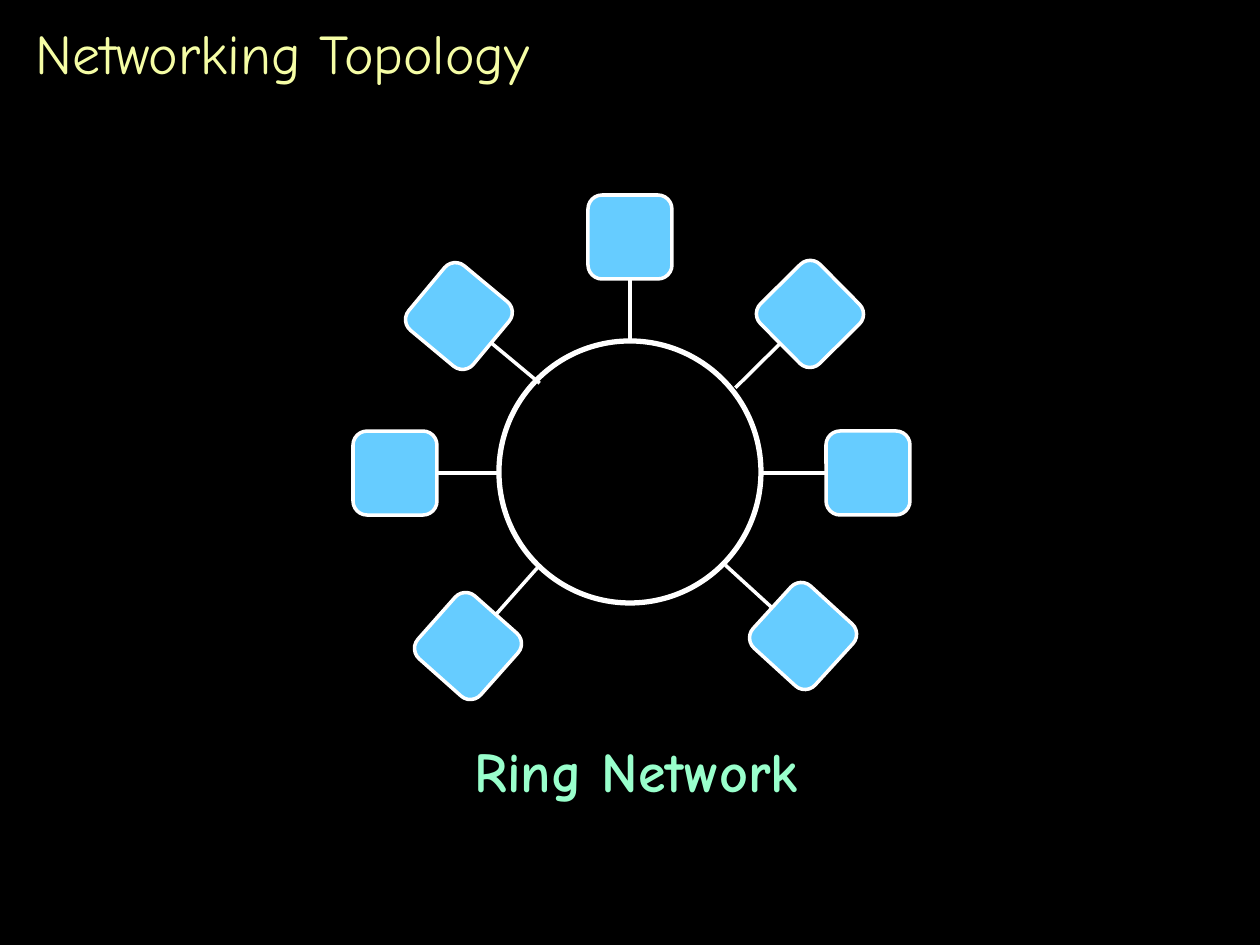
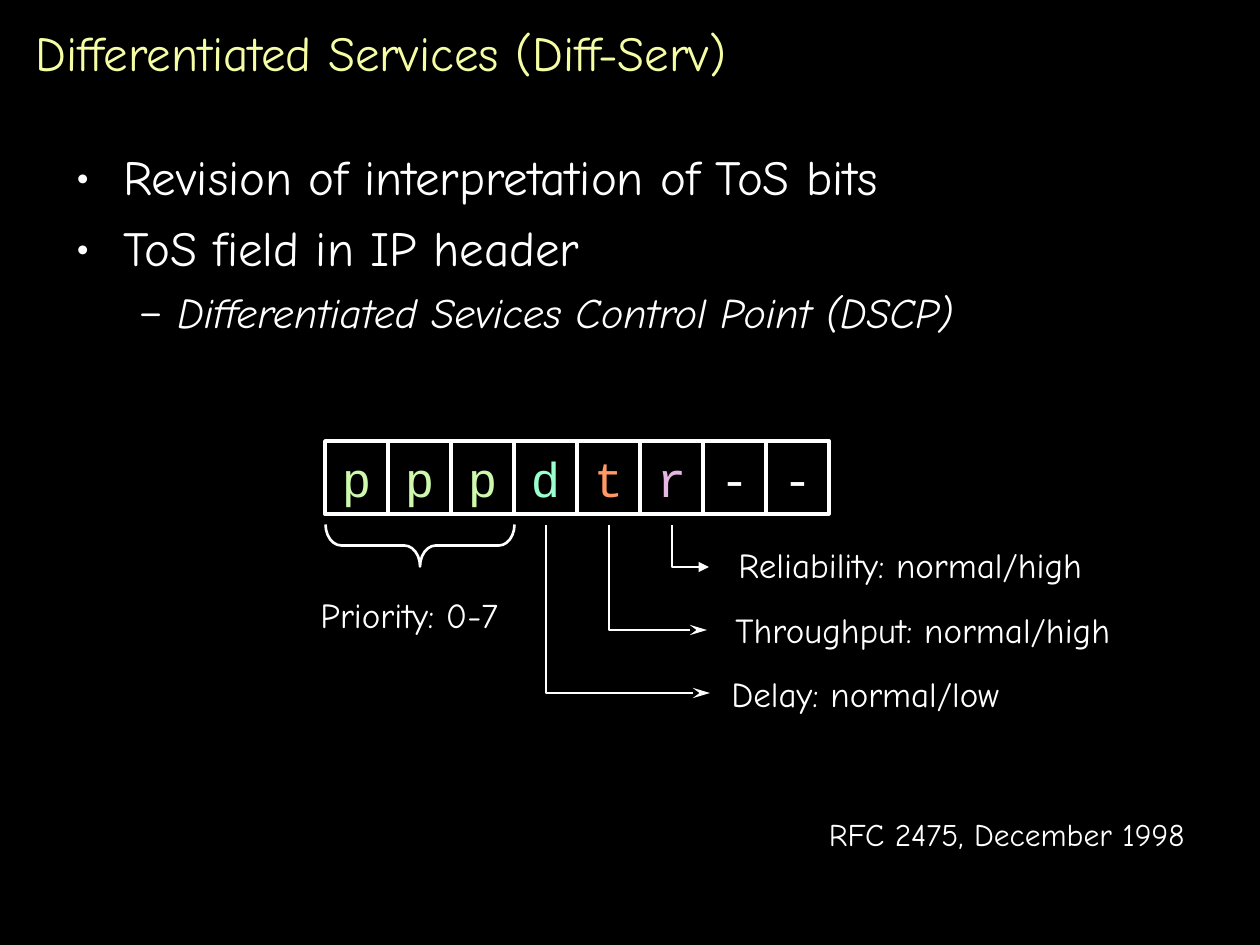
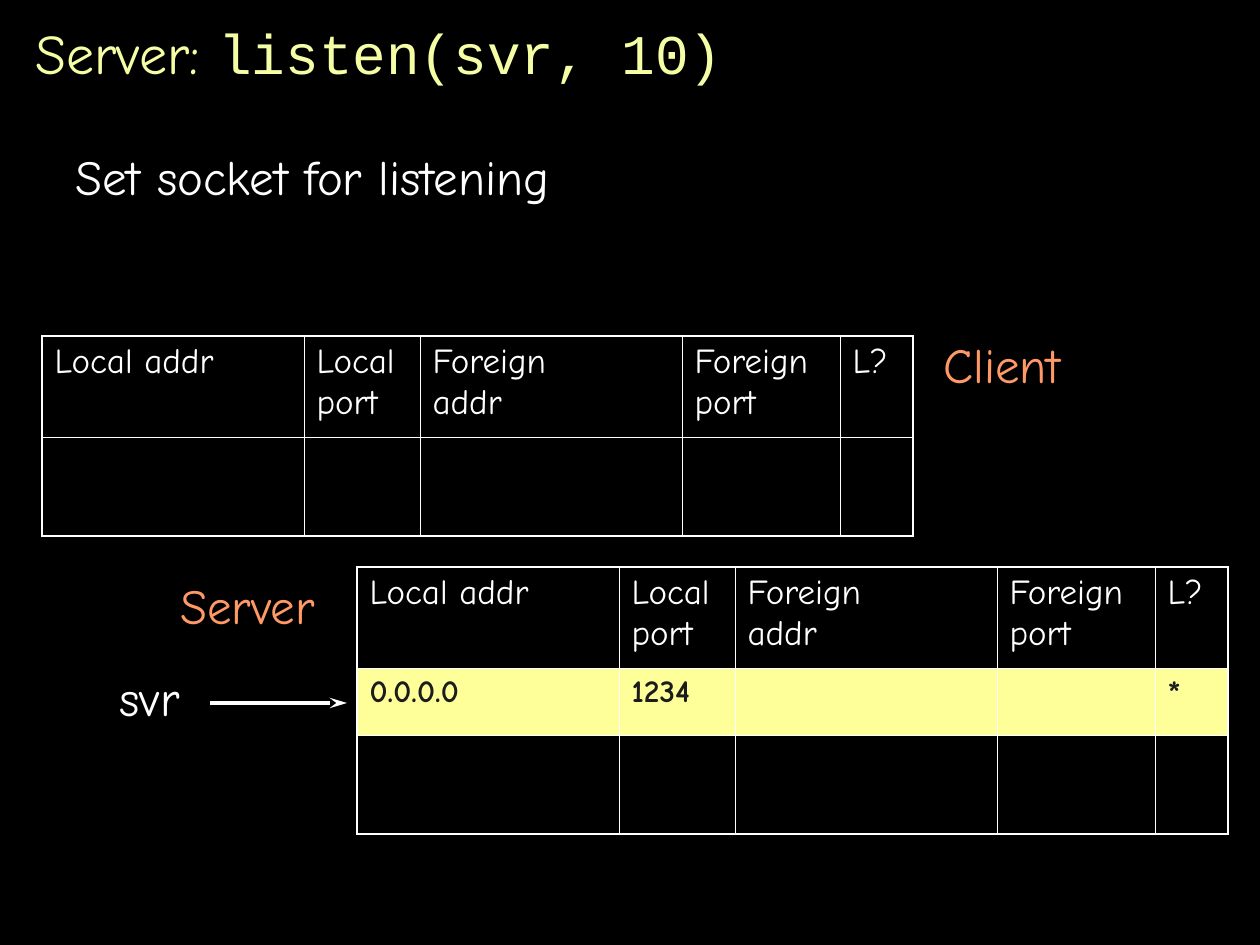
import math
from collections import namedtuple

from pptx import Presentation
from pptx.dml.color import RGBColor
from pptx.enum.shapes import MSO_CONNECTOR, MSO_SHAPE
from pptx.enum.text import MSO_ANCHOR, MSO_AUTO_SIZE, PP_ALIGN
from pptx.oxml.ns import qn
from pptx.util import Emu, Pt
from lxml import etree

EMU_PER_PX = 914400 / 126
STRAIGHT = MSO_CONNECTOR.STRAIGHT
ROUNDED = MSO_SHAPE.ROUNDED_RECTANGLE
RECTANGLE = MSO_SHAPE.RECTANGLE
OVAL = MSO_SHAPE.OVAL
BRACE = MSO_SHAPE.RIGHT_BRACE
MIDDLE = MSO_ANCHOR.MIDDLE
FIT_SHAPE = MSO_AUTO_SIZE.SHAPE_TO_FIT_TEXT
LEFT, CENTER, RIGHT = PP_ALIGN.LEFT, PP_ALIGN.CENTER, PP_ALIGN.RIGHT

BLACK, WHITE, INK = "000000", "FFFFFF", "1C1C1C"
TITLE_YELLOW, ROW_YELLOW = "F5FDA5", "FFFF99"
BLUE, MINT, LIME, ORANGE, PINK = "66CCFF", "99FFCC", "CEF9AD", "FF9966", "E7B7E4"
HAND, MONO = "Comic Neue", "Courier New"

Style = namedtuple("Style", "size color font bold italic",
                   defaults=(WHITE, HAND, False, False))
TITLE = Style(32, TITLE_YELLOW)
BODY = Style(28)
LABEL = Style(20)

NODE_SIZE, SPOKE_LENGTH = 84, 63
COLUMN_WIDTHS = (262, 116, 262, 158, 73)
HEADER = ("Local addr", "Local\nport", "Foreign\naddr", "Foreign\nport", "L?")
HEADER_HEIGHT, ENTRY_HEIGHT, EMPTY_HEIGHT = 101, 67, 99
ARROW_LENGTHS = {"triangle": "med", "stealth": "lg"}


def px(value):
    """Turn pixels into EMU."""
    return Emu(round(value * EMU_PER_PX))


def box(*values):
    """Turn several pixel lengths into EMU."""
    return [px(value) for value in values]


def rgb(color):
    """Turn a hex string into a colour."""
    return RGBColor.from_string(color)


def add_element(parent, tag, **attributes):
    """Append a DrawingML element to its parent."""
    return etree.SubElement(parent, qn(tag), attributes)


def add_text(paragraph, text, style):
    """Add text in one style, with its line breaks."""
    for number, line in enumerate(text.split("\n")):
        if number:
            paragraph.add_line_break()
        run = paragraph.add_run()
        run.text = line
        font = run.font
        font.name, font.size = style.font, Pt(style.size)
        font.bold, font.italic = style.bold, style.italic
        font.color.rgb = rgb(style.color)


def add_box(slide, bounds):
    """Add an empty wrapping text box and return its frame."""
    frame = slide.shapes.add_textbox(*box(*bounds)).text_frame
    frame.word_wrap = True
    return frame


def add_slide(presentation, *title_runs):
    """Add a black slide with its title."""
    slide = presentation.slides.add_slide(presentation.slide_layouts[6])
    slide.background.fill.solid()
    slide.background.fill.fore_color.rgb = rgb(BLACK)
    frame = add_box(slide, (23, 10, 1218, 84))
    frame.vertical_anchor = MIDDLE
    for text, style in title_runs:
        add_text(frame.paragraphs[0], text, style)
    return slide


def add_label(slide, bounds, text, style, alignment=LEFT):
    """Add a one-line label that does not wrap."""
    frame = add_box(slide, bounds)
    frame.word_wrap = False
    frame.auto_size = FIT_SHAPE
    frame.paragraphs[0].alignment = alignment
    add_text(frame.paragraphs[0], text, style)


def add_bullet(paragraph, mark, margin, hang):
    """Give a paragraph a white bullet and a hanging indent."""
    properties = paragraph._p.get_or_add_pPr()
    properties.set("marL", str(px(margin)))
    properties.set("indent", str(-px(hang)))
    color = add_element(properties, "a:buClr")
    add_element(color, "a:srgbClr", val=WHITE)
    add_element(properties, "a:buFont", typeface=HAND)
    add_element(properties, "a:buChar", char=mark)


def draw_line(shape, width, arrowhead=None):
    """Give a shape or connector a white line."""
    shape.line.color.rgb = rgb(WHITE)
    shape.line.width = Pt(width)
    if arrowhead:
        line = shape._element.spPr.find(qn("a:ln"))
        add_element(line, "a:tailEnd", type=arrowhead,
                    len=ARROW_LENGTHS[arrowhead])


def finish_shape(shape, width, fill=None, arrowhead=None):
    """Remove the shadow and set the fill and outline."""
    shape.shadow.inherit = False
    if fill:
        shape.fill.solid()
        shape.fill.fore_color.rgb = rgb(fill)
    else:
        shape.fill.background()
    draw_line(shape, width, arrowhead)


def add_outline(slide, kind, bounds, width, fill=None, rotation=0):
    """Add a preset shape with a white outline."""
    shape = slide.shapes.add_shape(kind, *box(*bounds))
    shape.rotation = rotation
    finish_shape(shape, width, fill)
    return shape


def add_line(slide, start, end, arrowhead=None):
    """Add a straight white line."""
    connector = slide.shapes.add_connector(STRAIGHT, *box(*start, *end))
    draw_line(connector, 2, arrowhead)
    add_element(connector._element.spPr, "a:effectLst")


def add_node(slide, x, y, rotation):
    """Add a ring station and the spoke that leaves its base."""
    half = NODE_SIZE / 2
    add_outline(slide, ROUNDED, (x - half, y - half, NODE_SIZE, NODE_SIZE),
                2, BLUE, rotation)
    angle = math.radians(rotation)
    start, end = ((x - reach * math.sin(angle), y + reach * math.cos(angle))
                  for reach in (half, half + SPOKE_LENGTH))
    add_line(slide, start, end)


def add_bent_arrow(slide, x, top, bottom, right, arrowhead):
    """Add an arrow that goes down and then right."""
    builder = slide.shapes.build_freeform(x, top, scale=EMU_PER_PX)
    builder.add_line_segments([(x, bottom), (right, bottom)], close=False)
    finish_shape(builder.convert_to_shape(), 1.5, arrowhead=arrowhead)


def add_bit(slide, position, letter, color):
    """Add one cell of the bit field."""
    shape = add_outline(slide, RECTANGLE, (325 + 63 * position, 441, 63, 73), 2)
    frame = shape.text_frame
    frame.word_wrap = False
    frame.vertical_anchor = MIDDLE
    frame.paragraphs[0].alignment = CENTER
    add_text(frame.paragraphs[0], letter, Style(28, color, MONO))


def set_borders(cell, widths):
    """Set white borders, given in the order left, right, top, bottom."""
    properties = cell._tc.get_or_add_tcPr()
    for position, (side, width) in enumerate(zip("LRTB", widths)):
        line = etree.Element(qn("a:ln" + side), w=str(Pt(width)))
        fill = add_element(line, "a:solidFill")
        add_element(fill, "a:srgbClr", val=WHITE)
        properties.insert(position, line)


def add_socket_table(slide, left, top, entries=()):
    """Add a socket table: header, highlighted entries and an empty row."""
    rows = [HEADER, *entries, [""] * len(HEADER)]
    heights = [HEADER_HEIGHT, *[ENTRY_HEIGHT] * len(entries), EMPTY_HEIGHT]
    frame = slide.shapes.add_table(
        len(rows), len(HEADER),
        *box(left, top, sum(COLUMN_WIDTHS), sum(heights)))
    table = frame.table
    table.first_row = table.horz_banding = False
    for column, width in zip(table.columns, COLUMN_WIDTHS):
        column.width = px(width)
    last_row, last_column = len(rows) - 1, len(HEADER) - 1
    for r, texts in enumerate(rows):
        table.rows[r].height = px(heights[r])
        for c, text in enumerate(texts):
            cell = table.cell(r, c)
            if 0 < r < last_row:
                cell.fill.solid()
                cell.fill.fore_color.rgb = rgb(ROW_YELLOW)
                style = Style(20 if c == last_column else 18, INK, bold=True)
            else:
                cell.fill.background()
                style = LABEL
            if text:
                add_text(cell.text_frame.paragraphs[0], text, style)
            outer = (c == 0, c == last_column, r == 0, r == last_row)
            set_borders(cell, [1.08 if edge else 0.45 for edge in outer])


def build_ring(presentation):
    """Build the ring network slide."""
    slide = add_slide(presentation, ("Networking Topology", TITLE))
    for x, y, rotation in ((395, 473, 270), (459, 316, 309.8), (630, 237, 0),
                           (810, 314, 45.3), (868, 473, 90),
                           (803, 636, 132.4), (468, 646, 221.6)):
        add_node(slide, x, y, rotation)
    add_outline(slide, OVAL, (499, 341, 262, 262), 3)
    add_label(slide, (462, 730, 349, 81), "Ring Network",
              Style(32, MINT, bold=True), CENTER)


def build_services(presentation):
    """Build the differentiated services slide."""
    slide = add_slide(presentation, ("Differentiated Services (Diff-Serv)",
                                     Style(28, TITLE_YELLOW)))
    frame = add_box(slide, (63, 140, 1134, 704))
    points = (
        ("Revision of interpretation of ToS bits", BODY, "•", 48, 48, 0),
        ("ToS field in IP header", BODY, "•", 48, 48, 7),
        ("Differentiated Sevices Control Point (DSCP)",
         Style(24, italic=True), "–", 102, 39, 6))
    for number, (text, style, mark, margin, hang, space) in enumerate(points):
        paragraph = frame.add_paragraph() if number else frame.paragraphs[0]
        add_bullet(paragraph, mark, margin, hang)
        if space:
            paragraph.space_before = Pt(space)
        add_text(paragraph, text, style)
    colors = {"p": LIME, "d": MINT, "t": ORANGE, "r": PINK, "-": WHITE}
    for position, letter in enumerate("pppdtr--"):
        add_bit(slide, position, letter, colors[letter])
    brace = add_outline(slide, BRACE, (399, 451, 42, 189), 1.5, rotation=90)
    brace.adjustments[0] = 0.375
    for bounds, text in (((308, 587, 205, 55), "Priority: 0-7"),
                         ((726, 537, 371, 55), "Reliability: normal/high"),
                         ((723, 602, 403, 55), "Throughput: normal/high"),
                         ((719, 666, 296, 55), "Delay: normal/low")):
        add_label(slide, bounds, text, LABEL)
    for x, bottom, right, arrowhead in ((672, 567, 709, "triangle"),
                                        (609, 630, 707, "stealth"),
                                        (546, 693, 710, "stealth")):
        add_bent_arrow(slide, x, 525, bottom, right, arrowhead)
    add_label(slide, (815, 809, 382, 50), "RFC 2475, December 1998",
              Style(18), RIGHT)


def build_listen(presentation):
    """Build the listening socket slide."""
    slide = add_slide(presentation, ("Server: ", TITLE),
                      ("listen(svr, 10)", TITLE._replace(font=MONO)))
    frame = add_box(slide, (63, 140, 1134, 189))
    add_text(frame.paragraphs[0], "Set socket for listening", BODY)
    add_socket_table(slide, 357, 567, [("0.0.0.0", "1234", "", "", "*")])
    add_socket_table(slide, 42, 336)
    add_label(slide, (931, 328, 156, 72), "Client", Style(28, ORANGE))
    add_label(slide, (168, 569, 164, 72), "Server", Style(28, ORANGE))
    add_label(slide, (107, 661, 90, 72), "svr", BODY)
    add_line(slide, (210, 703), (347, 703), "stealth")


def main():
    """Build and save the presentation."""
    presentation = Presentation()
    presentation.slide_width, presentation.slide_height = box(1260, 945)
    build_ring(presentation)
    build_services(presentation)
    build_listen(presentation)
    presentation.save("out.pptx")


if __name__ == "__main__":
    main()
